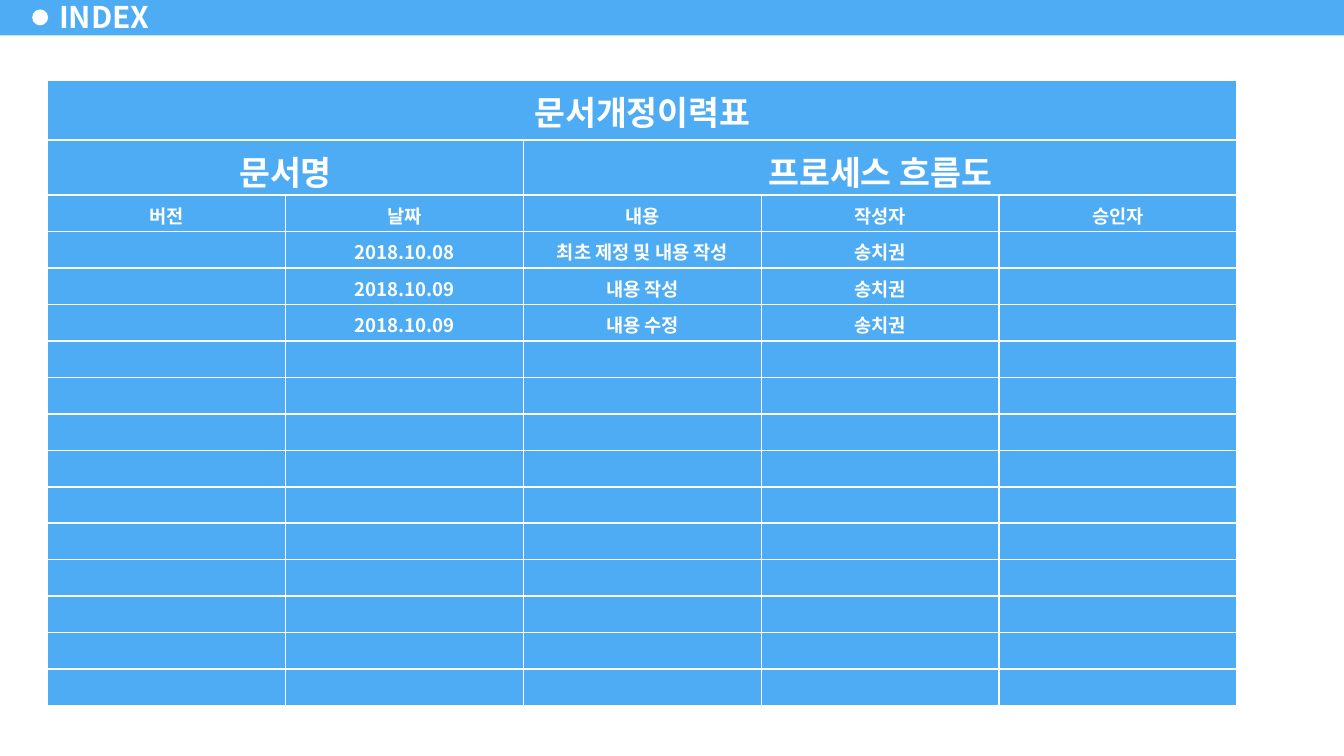
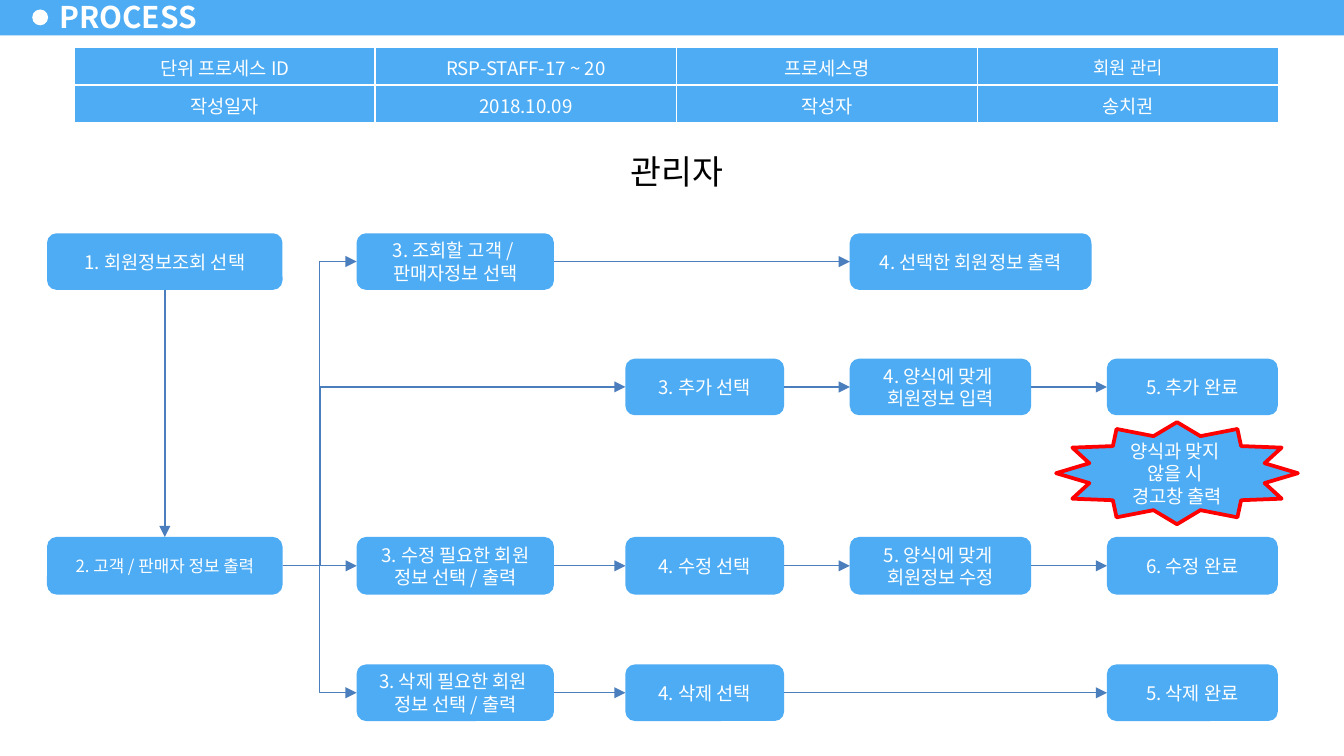
from dataclasses import dataclass

from lxml import etree
from pptx import Presentation
from pptx.dml.color import RGBColor
from pptx.enum.shapes import MSO_CONNECTOR, MSO_SHAPE
from pptx.enum.text import MSO_ANCHOR, PP_ALIGN
from pptx.oxml.ns import qn
from pptx.util import Cm, Pt

RECT = MSO_SHAPE.RECTANGLE
ROUNDED = MSO_SHAPE.ROUNDED_RECTANGLE
OVAL = MSO_SHAPE.OVAL
STAR = MSO_SHAPE.STAR_12_POINT
STRAIGHT = MSO_CONNECTOR.STRAIGHT
ELBOW = MSO_CONNECTOR.ELBOW
MIDDLE = MSO_ANCHOR.MIDDLE
TOP = MSO_ANCHOR.TOP
CENTER = PP_ALIGN.CENTER
SITE_TOP, SITE_LEFT, SITE_BOTTOM, SITE_RIGHT = range(4)


@dataclass(frozen=True)
class Theme:
    font: str = "Noto Sans CJK KR"
    blue: str = "4DACF3"
    white: str = "FFFFFF"
    black: str = "000000"
    red: str = "FF0000"
    arrow: str = "4B7EBC"
    heading: float = 18
    title: float = 16
    body: float = 10
    compact: float = 9.5
    small: float = 9
    border: float = 1
    arrow_width: float = 0.75
    warning_width: float = 2


THEME = Theme()


@dataclass(frozen=True)
class Box:
    left: float
    top: float
    width: float
    height: float

    def emu(self):
        return Cm(self.left), Cm(self.top), Cm(self.width), Cm(self.height)


@dataclass(frozen=True)
class Column:
    left: float
    width: float


@dataclass(frozen=True)
class Lane:
    top: float
    height: float


@dataclass(frozen=True)
class Step:
    key: str
    column: Column
    lane: Lane
    lines: tuple[str, ...]
    size: float = THEME.body


@dataclass(frozen=True)
class Flow:
    source: str
    target: str
    kind: int = STRAIGHT
    leave: int = SITE_RIGHT
    enter: int = SITE_LEFT
    bend: int = 50000


def rgb(value: str) -> RGBColor:
    return RGBColor.from_string(value)


def add_fonts(properties) -> None:
    for tag in ("a:latin", "a:ea"):
        for old in properties.findall(qn(tag)):
            properties.remove(old)
        etree.SubElement(properties, qn(tag), typeface=THEME.font)


def add_run(paragraph, text: str, size: float, color: str, bold: bool = False) -> None:
    run = paragraph.add_run()
    run.text = text
    run.font.size = Pt(size)
    run.font.bold = bold
    run.font.color.rgb = rgb(color)
    add_fonts(run._r.get_or_add_rPr())


def add_block(slide, kind: int, box: Box, fill: str):
    block = slide.shapes.add_shape(kind, *box.emu())
    block.shadow.inherit = False
    block.fill.solid()
    block.fill.fore_color.rgb = rgb(fill)
    block.line.fill.background()
    return block


def write_lines(block, lines: tuple[str, ...], size: float, color: str) -> None:
    frame = block.text_frame
    frame.word_wrap = True
    frame.vertical_anchor = MIDDLE
    for index, line in enumerate(lines):
        paragraph = frame.add_paragraph() if index else frame.paragraphs[0]
        paragraph.alignment = CENTER
        add_run(paragraph, line, size, color)


def add_header(slide, title: str, width: float) -> None:
    add_block(slide, RECT, Box(0, -0.05, 25.4, 0.72), THEME.blue)
    add_block(slide, OVAL, Box(0.61, 0.18, 0.3, 0.3), THEME.white)
    heading = slide.shapes.add_textbox(*Box(0.89, -0.1, width, 0.81).emu())
    frame = heading.text_frame
    frame.word_wrap = False
    frame.vertical_anchor = MIDDLE
    frame.margin_left = frame.margin_right = Cm(0.23)
    frame.margin_top = frame.margin_bottom = Cm(0.1)
    add_run(frame.paragraphs[0], title, THEME.title, THEME.white, True)


def set_borders(cell) -> None:
    properties = cell._tc.get_or_add_tcPr()
    for index, tag in enumerate(("a:lnL", "a:lnR", "a:lnT", "a:lnB")):
        line = etree.Element(qn(tag), w=str(Pt(THEME.border)))
        fill = etree.SubElement(line, qn("a:solidFill"))
        etree.SubElement(fill, qn("a:srgbClr"), val=THEME.white)
        properties.insert(index, line)


def fill_cell(cell, text: str, size: float, bold: bool) -> None:
    cell.fill.solid()
    cell.fill.fore_color.rgb = rgb(THEME.blue)
    cell.vertical_anchor = MIDDLE
    set_borders(cell)
    paragraph = cell.text_frame.paragraphs[0]
    paragraph.alignment = CENTER
    if text:
        add_run(paragraph, text, size, THEME.white, bold)
    else:
        ending = etree.SubElement(paragraph._p, qn("a:endParaRPr"), sz=str(int(size * 100)))
        add_fonts(ending)


def add_grid(slide, left: float, top: float, width: float, heights: list[float],
             rows: list[tuple[str, ...]], sizes: dict, bold: bool):
    count = len(rows[0])
    box = Box(left, top, width, sum(heights))
    grid = slide.shapes.add_table(len(rows), count, *box.emu()).table
    grid.first_row = False
    grid.horz_banding = False
    for column in grid.columns:
        column.width = Cm(width / count)
    for r, (height, texts) in enumerate(zip(heights, rows)):
        grid.rows[r].height = Cm(height)
        for c, text in enumerate(texts):
            size = sizes.get((r, c), THEME.body)
            fill_cell(grid.cell(r, c), text, size, bold)
    return grid


def add_flow(slide, flow: Flow, blocks: dict) -> None:
    arrow = slide.shapes.add_connector(flow.kind, 0, 0, 0, 0)
    arrow.begin_connect(blocks[flow.source], flow.leave)
    arrow.end_connect(blocks[flow.target], flow.enter)
    arrow.line.color.rgb = rgb(THEME.arrow)
    arrow.line.width = Pt(THEME.arrow_width)
    properties = arrow.element.spPr
    etree.SubElement(properties.find(qn("a:ln")), qn("a:tailEnd"), type="triangle")
    etree.SubElement(properties, qn("a:effectLst"))
    if flow.kind == ELBOW:
        guides = properties.find(qn("a:prstGeom")).find(qn("a:avLst"))
        etree.SubElement(guides, qn("a:gd"), name="adj1", fmla=f"val {flow.bend}")


def build_index(slide) -> None:
    add_header(slide, "INDEX", 2.31)
    blank = ("",) * 5
    rows = [
        ("문서개정이력표", "", "", "", ""),
        ("문서명", "", "프로세스 흐름도", "", ""),
        ("버전", "날짜", "내용", "작성자", "승인자"),
        ("", "2018.10.08", "최초 제정 및 내용 작성", "송치권", ""),
        ("", "2018.10.09", "내용 작성", "송치권", ""),
        ("", "2018.10.09", "내용 수정", "송치권", ""),
    ] + [blank] * 10
    heights = [1.14, 1.04] + [0.69] * 14
    sizes = {(0, 0): THEME.heading, (1, 0): THEME.heading, (1, 2): THEME.heading}
    history = add_grid(slide, 0.9, 1.51, 22.48, heights, rows, sizes, True)
    for row, first, last in ((0, 0, 4), (1, 0, 1), (1, 2, 4)):
        history.cell(row, first).merge(history.cell(row, last))


START = Column(0.89, 4.45)
BRANCH = Column(6.74, 3.73)
ACTION = Column(11.82, 3.0)
FORM = Column(16.06, 3.43)
RESULT = Column(16.06, 4.57)
DONE = Column(20.92, 3.23)
LOOKUP = Lane(4.41, 1.07)
ADD = Lane(6.78, 1.07)
EDIT = Lane(10.15, 1.09)
DELETE = Lane(12.56, 1.07)

STEPS = [
    Step("start", START, LOOKUP, ("1. 회원정보조회 선택",)),
    Step("list", START, EDIT, ("2. 고객 / 판매자 정보 출력",), THEME.small),
    Step("lookup", BRANCH, LOOKUP, ("3. 조회할 고객 / ", "판매자정보 선택")),
    Step("lookup_result", RESULT, LOOKUP, ("4. 선택한 회원정보 출력",)),
    Step("add", ACTION, ADD, ("3. 추가 선택",)),
    Step("add_form", FORM, ADD, ("4. 양식에 맞게 ", "회원정보 입력")),
    Step("add_done", DONE, ADD, ("5. 추가 완료",)),
    Step("edit_pick", BRANCH, EDIT, ("3. 수정 필요한 회원", "정보 선택 / 출력")),
    Step("edit", ACTION, EDIT, ("4. 수정 선택",)),
    Step("edit_form", FORM, EDIT, ("5. 양식에 맞게 ", "회원정보 수정")),
    Step("edit_done", DONE, EDIT, ("6. 수정 완료",)),
    Step("delete_pick", BRANCH, DELETE, ("3. 삭제 필요한 회원 ", "정보 선택 / 출력")),
    Step("delete", ACTION, DELETE, ("4. 삭제 선택",)),
    Step("delete_done", DONE, DELETE, ("5. 삭제 완료",)),
]

FLOWS = [
    Flow("start", "list", leave=SITE_BOTTOM, enter=SITE_TOP),
    Flow("list", "lookup", ELBOW),
    Flow("list", "delete_pick", ELBOW),
    Flow("list", "add", ELBOW, bend=10900),
    Flow("list", "edit_pick"),
    Flow("lookup", "lookup_result"),
    Flow("add", "add_form"),
    Flow("add_form", "add_done"),
    Flow("edit_pick", "edit"),
    Flow("edit", "edit_form"),
    Flow("edit_form", "edit_done"),
    Flow("delete_pick", "delete"),
    Flow("delete", "delete_done"),
]


def add_warning(slide) -> None:
    warning = add_block(slide, STAR, Box(19.96, 7.98, 4.57, 1.93), THEME.blue)
    warning.line.color.rgb = rgb(THEME.red)
    warning.line.width = Pt(THEME.warning_width)
    frame = warning.text_frame
    frame.word_wrap = True
    frame.vertical_anchor = MIDDLE
    paragraph = frame.paragraphs[0]
    paragraph.alignment = CENTER
    for index, line in enumerate(("양식과 맞지 ", "않을 시 ", "경고창 출력")):
        if index:
            paragraph.add_line_break()
        add_run(paragraph, line, THEME.body, THEME.white)


def build_process(slide) -> None:
    add_header(slide, "PROCESS", 3.1)
    role = add_block(slide, RECT, Box(8.26, 2.72, 9.07, 1.04), THEME.white)
    write_lines(role, ("관리자",), THEME.heading, THEME.black)
    role.text_frame.vertical_anchor = TOP
    blocks = {}
    for step in STEPS:
        box = Box(step.column.left, step.lane.top, step.column.width, step.lane.height)
        blocks[step.key] = add_block(slide, ROUNDED, box, THEME.blue)
        write_lines(blocks[step.key], step.lines, step.size, THEME.white)
    add_warning(slide)
    rows = [
        ("단위 프로세스 ID", "RSP-STAFF-17 ~ 20", "프로세스명", "회원 관리"),
        ("작성일자", "2018.10.09", "작성자", "송치권"),
    ]
    add_grid(slide, 1.4, 0.9, 22.77, [0.71] * 2, rows, {(0, 3): THEME.compact}, False)
    for flow in FLOWS:
        add_flow(slide, flow, blocks)


def main() -> None:
    deck = Presentation()
    deck.slide_width = Cm(25.4)
    deck.slide_height = Cm(14.29)
    blank = deck.slide_layouts[6]
    for build in (build_index, build_process):
        build(deck.slides.add_slide(blank))
    deck.save("out.pptx")


main()
